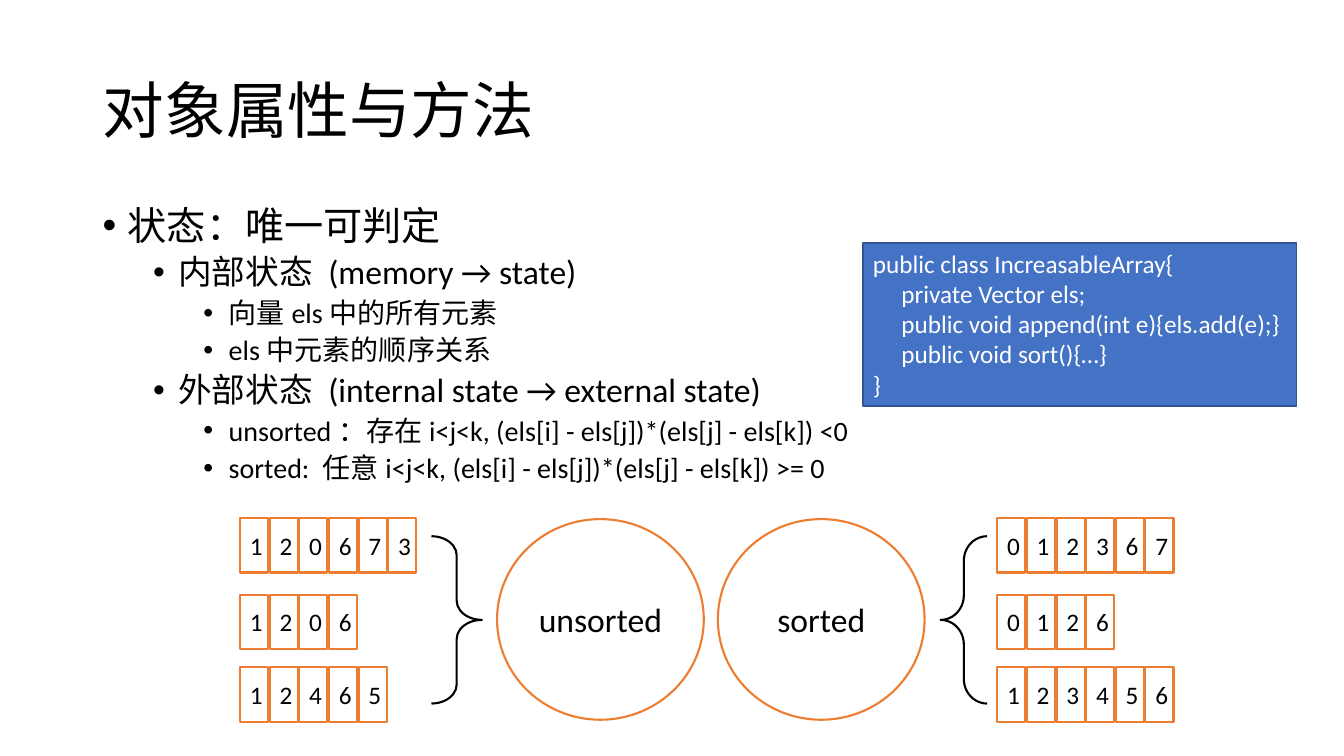
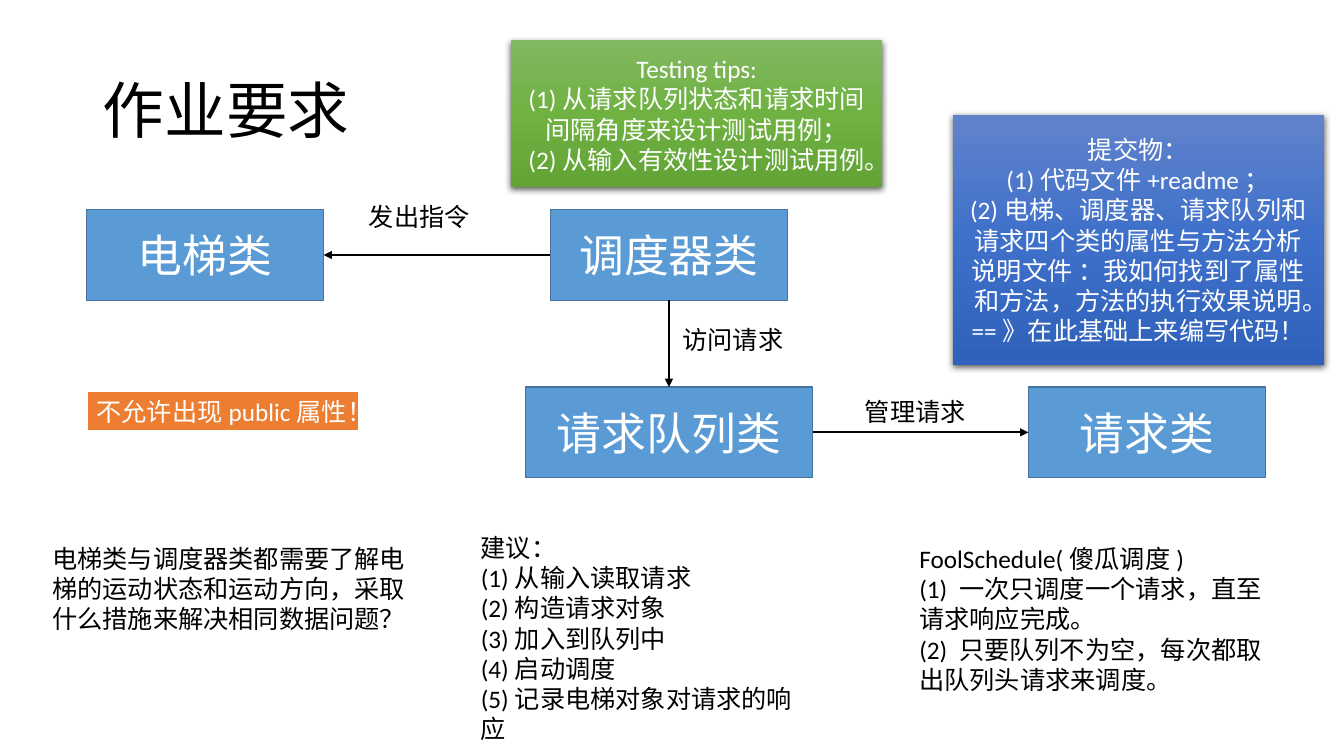
from copy import deepcopy

from lxml import etree
from pptx import Presentation
from pptx import util as u
from pptx.dml import color
from pptx.enum import shapes, text
from pptx.oxml import ns

FONT = "Calibri"
BLACK, WHITE, ORANGE = "000000", "FFFFFF", "ED7D31"
RECT = shapes.MSO_SHAPE.RECTANGLE
LEFT, CENTER = text.PP_ALIGN.LEFT, text.PP_ALIGN.CENTER
TOP, MIDDLE = text.MSO_ANCHOR.TOP, text.MSO_ANCHOR.MIDDLE


def rgb(value):
    """Turn a hex string into a colour."""
    return color.RGBColor.from_string(value)


def box(*lengths):
    """Turn left, top, width and height into lengths in inches."""
    return [u.Inches(length) for length in lengths]


def sub(parent, tag, **attributes):
    """Add a child element with the given attributes."""
    return etree.SubElement(parent, ns.qn(tag), attributes)


class Deck:
    """Hold the presentation, its style and the current slide."""

    def __init__(self):
        """Start an empty wide presentation."""
        self.prs = Presentation()
        self.prs.slide_width, self.prs.slide_height = box(13.33, 7.5)

    def slide(self, title):
        """Start a slide with its title."""
        self.current = self.prs.slides.add_slide(self.prs.slide_layouts[5])
        heading = self.current.shapes.title
        heading.left, heading.top, heading.width, heading.height = box(0.92, 0.4, 11.5, 1.45)
        self.set_text(heading, [title], 44, BLACK, LEFT, MIDDLE)
        heading.text_frame.paragraphs[0].line_spacing = 0.9

    def set_text(self, shape, lines, size, ink, align=LEFT, anchor=TOP, grow=False, wrap=True):
        """Fill a shape with one paragraph per line."""
        frame = shape.text_frame
        frame.text = "\n".join(lines)
        frame.word_wrap = wrap
        frame.vertical_anchor = anchor
        frame.auto_size = (text.MSO_AUTO_SIZE.SHAPE_TO_FIT_TEXT if grow
                           else text.MSO_AUTO_SIZE.NONE)
        for paragraph in frame.paragraphs:
            paragraph.alignment = align
            for run in paragraph.runs:
                run.font.name = FONT
                run.font.size = u.Pt(size)
                run.font.color.rgb = rgb(ink)

    def label(self, at, *lines):
        """Add plain text that wraps."""
        self.set_text(self.current.shapes.add_textbox(*box(*at)), lines, 18, BLACK, grow=True)

    def outline(self, at, items):
        """Add a bulleted outline of (level, words) items."""
        area = self.current.shapes.add_textbox(*box(*at))
        self.set_text(area, [words for _, words in items], 20, BLACK)
        for index, (level, _) in enumerate(items):
            paragraph = area.text_frame.paragraphs[index]
            paragraph.level = level
            paragraph.line_spacing = 0.9
            paragraph.space_before = u.Pt(5 if index else 0)
            properties = paragraph._p.get_or_add_pPr()
            properties.set("marL", str(u.Inches(0.25 + 0.5 * level)))
            properties.set("indent", str(u.Inches(-0.25)))
            sub(properties, "a:buFont", typeface="Arial")
            sub(properties, "a:buChar", char="•")
            for run in paragraph.runs:
                run.font.size = u.Pt(28 - 4 * level)

    def shape(self, kind, at, fill=None, line=None, width=1.5):
        """Add a flat preset shape."""
        added = self.current.shapes.add_shape(kind, *box(*at))
        added.shadow.inherit = False
        if fill:
            added.fill.solid()
            added.fill.fore_color.rgb = rgb(fill)
        else:
            added.fill.background()
        if line:
            added.line.color.rgb = rgb(line)
            added.line.width = u.Pt(width)
        else:
            added.line.fill.background()
        return added

    def array(self, left, top, digits):
        """Add a row of cells, one for each digit."""
        for index, digit in enumerate(digits):
            at = (left + 1.47 * index / 5, top, 0.28, 0.54)
            self.set_text(self.shape(RECT, at, WHITE, ORANGE), [digit], 18, BLACK, CENTER, MIDDLE)

    def state(self, left, name):
        """Add a circle that names a state."""
        circle = self.shape(shapes.MSO_SHAPE.OVAL, (left, 5.15, 2.05, 1.99), WHITE, ORANGE)
        self.set_text(circle, [name], 24, BLACK, CENTER, MIDDLE)

    def brace(self, kind, left, width, curve):
        """Add a brace beside the arrays."""
        self.shape(kind, (left, 5.32, width, 1.66), line=BLACK).adjustments[0] = curve

    def entity(self, left, top, name, width=2.35):
        """Add a class box and return it."""
        added = self.shape(RECT, (left, top, width, 0.9), "5B9BD5", "43739E", 1)
        self.set_text(added, [name], 32, WHITE, CENTER, MIDDLE)
        return added

    def arrow(self, source, source_side, target, target_side):
        """Join two boxes with an arrow."""
        link = self.current.shapes.add_connector(shapes.MSO_CONNECTOR.STRAIGHT, 0, 0, 0, 0)
        link.begin_connect(source, source_side)
        link.end_connect(target, target_side)
        link.line.color.rgb = rgb(BLACK)
        link.line.width = u.Pt(1.5)
        sub(link.line._get_or_add_ln(), "a:tailEnd", type="triangle")
        sub(link._element.spPr, "a:effectLst")

    def card(self, at, tints, *lines):
        """Add a shaded card with a soft shadow."""
        added = self.shape(RECT, at)
        added.fill.gradient()
        added.fill.gradient_angle = 270
        properties = added._element.spPr
        stops = properties.find(".//" + ns.qn("a:gsLst"))
        stops.insert(1, deepcopy(stops[0]))
        for index, (stop, tint) in enumerate(zip(added.fill.gradient_stops, tints)):
            stop.position = index / 2
            stop.color.rgb = rgb(tint)
        shadow = sub(properties.find(ns.qn("a:effectLst")), "a:outerShdw",
                     blurRad=str(u.Pt(4.5)), dist=str(u.Pt(1.5)),
                     dir="5400000", algn="ctr", rotWithShape="0")
        sub(sub(shadow, "a:srgbClr", val=BLACK), "a:alpha", val="63000")
        self.set_text(added, lines, 18, WHITE, CENTER, MIDDLE)


def object_state(deck):
    """Build the slide on attributes and methods."""
    deck.slide("对象属性与方法")
    deck.outline((0.92, 2, 11.5, 4.76), [
        (0, "状态：唯一可判定"),
        (1, "内部状态 (memory → state)"),
        (2, "向量els中的所有元素"),
        (2, "els中元素的顺序关系"),
        (1, "外部状态 (internal state → external state)"),
        (2, "unsorted：存在i<j<k, (els[i] - els[j])*(els[j] - els[k]) <0"),
        (2, "sorted: 任意i<j<k, (els[i] - els[j])*(els[j] - els[k]) >= 0"),
    ])
    code = deck.shape(RECT, (8.56, 2.41, 4.3, 1.62), "4472C4", "325491", 1)
    deck.set_text(code, [
        "public class IncreasableArray{",
        "     private Vector els;",
        "     public void append(int e){els.add(e);}",
        "     public void sort(){…}",
        "}",
    ], 18, WHITE, grow=True, wrap=False)
    rows = zip((5.14, 5.9, 6.62), ("120673", "1206", "12465"), ("012367", "0126", "123456"))
    for top, mixed, ordered in rows:
        deck.array(2.38, top, mixed)
        deck.array(9.89, top, ordered)
    deck.state(4.93, "unsorted")
    deck.state(7.12, "sorted")
    deck.brace(shapes.MSO_SHAPE.RIGHT_BRACE, 4.28, 0.5, 0.38)
    deck.brace(shapes.MSO_SHAPE.LEFT_BRACE, 9.33, 0.46, 0.53)


def homework(deck):
    """Build the slide on the homework."""
    deck.slide("作业要求")
    scheduler = deck.entity(5.46, 2.08, "调度器类")
    elevator = deck.entity(0.86, 2.08, "电梯类")
    queue = deck.entity(5.21, 3.84, "请求队列类", 2.85)
    request = deck.entity(10.2, 3.84, "请求类")
    deck.arrow(scheduler, 1, elevator, 3)
    deck.arrow(scheduler, 2, queue, 0)
    deck.arrow(queue, 3, request, 1)
    deck.label((3.56, 1.95, 1.51, 0.4), "发出指令")
    deck.label((6.67, 3.17, 1.51, 0.4), "访问请求")
    deck.label((8.48, 3.88, 1.51, 0.4), "管理请求")
    deck.label((4.67, 5.23, 3.51, 1.92), "建议：", "(1)从输入读取请求", "(2)构造请求对象",
               "(3)加入到队列中", "(4)启动调度", "(5)记录电梯对象对请求的响应")
    deck.label((9.02, 5.34, 3.81, 1.62), "FoolSchedule(傻瓜调度)",
               "(1) 一次只调度一个请求，直至请求响应完成。",
               "(2) 只要队列不为空，每次都取出队列头请求来调度。")
    deck.label((0.42, 5.34, 3.93, 1.01),
               "电梯类与调度器类都需要了解电梯的运动状态和运动方向，采取什么措施来解决相同数据问题？")
    rule = deck.shape(RECT, (0.86, 3.88, 2.7, 0.4), ORANGE, WHITE)
    deck.set_text(rule, ["不允许出现public属性！"], 18, WHITE, grow=True)
    deck.card((5.07, 0.4, 3.68, 1.46), ("81B861", "6FB242", "62A336"), "Testing tips:",
              "(1)从请求队列状态和请求时间间隔角度来设计测试用例；",
              "(2)从输入有效性设计测试用例。")
    deck.card((9.45, 1.14, 3.68, 2.48), ("6183CB", "3E70CA", "3062BB"), "提交物：",
              "(1)代码文件+readme；",
              "(2)电梯、调度器、请求队列和请求四个类的属性与方法分析说明文件 ："
              "我如何找到了属性和方法，方法的执行效果说明。==》在此基础上来编写代码！")


def main():
    """Build and save both slides."""
    deck = Deck()
    object_state(deck)
    homework(deck)
    deck.prs.save("out.pptx")


if __name__ == "__main__":
    main()
